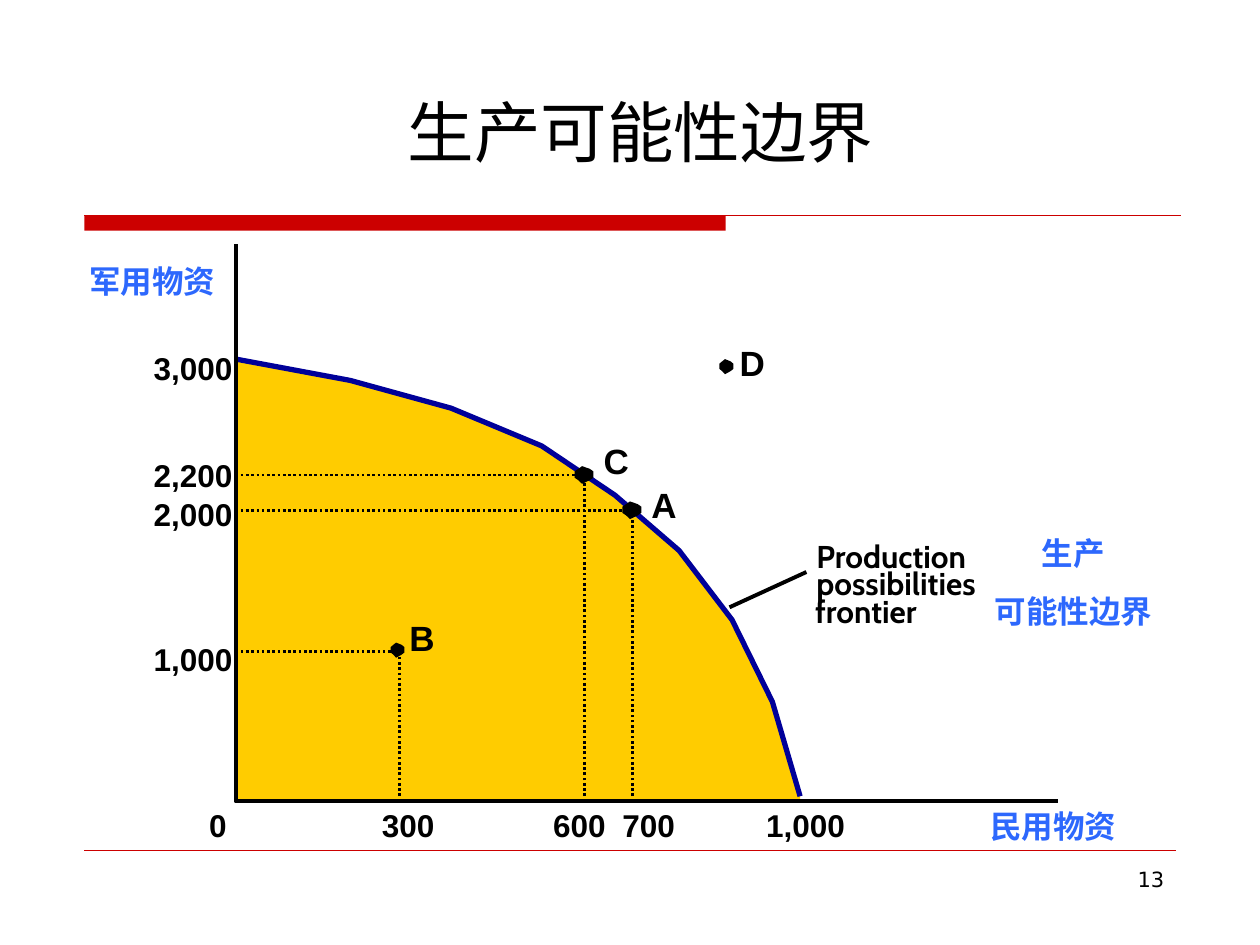
from dataclasses import dataclass

from lxml.etree import SubElement
from pptx import Presentation
from pptx.dml.color import RGBColor
from pptx.enum.dml import MSO_LINE
from pptx.enum.shapes import MSO_CONNECTOR, MSO_SHAPE
from pptx.enum.text import MSO_ANCHOR, MSO_AUTO_SIZE, PP_ALIGN
from pptx.oxml.ns import qn
from pptx.util import Inches, Pt

RED = RGBColor(0xCC, 0x00, 0x00)
GOLD = RGBColor(0xFF, 0xCC, 0x00)
NAVY = RGBColor(0x00, 0x00, 0x99)
BLUE = RGBColor(0x2D, 0x68, 0xFD)
BLACK = RGBColor(0, 0, 0)

Spot = tuple[float, float]

# Chart frame: origin of the axes and their far ends
LEFT, BASE = 1.87, 6.36
TOP, RIGHT = 1.94, 8.4

CURVE: list[Spot] = [
    (LEFT, 2.85), (2.78, 3.02), (3.58, 3.24), (4.3, 3.54), (4.88, 3.93),
    (5.39, 4.37), (5.81, 4.92), (6.13, 5.57), (6.35, 6.32),
]
# Outline of a dot, as shares of its width and height
DOT: list[Spot] = [
    (0.4, 1), (0.8, 0.8), (1, 0.65), (1, 0.3), (0.8, 0.15),
    (0.4, 0), (0.2, 0.15), (0, 0.3), (0, 0.65), (0.2, 0.8),
]


@dataclass
class Label:
    text: str
    x: float
    y: float
    w: float
    h: float = 0.3
    size: int = 18
    font: str = "Arial"
    color: RGBColor = BLACK
    bold: bool = True
    align: PP_ALIGN = PP_ALIGN.LEFT
    pad: bool = False


@dataclass
class Point:
    name: str
    x: float
    y: float
    w: float
    h: float
    tag: Spot
    guide: Spot | None = None


POINTS = [
    Point("A", 4.94, 3.98, 0.15, 0.14, (5.17, 3.84), (5.02, 4.05)),
    Point("B", 3.1, 5.1, 0.11, 0.12, (3.25, 4.89), (3.17, 5.17)),
    Point("C", 4.56, 3.7, 0.15, 0.14, (4.79, 3.49), (4.64, 3.77)),
    Point("D", 5.71, 2.85, 0.11, 0.12, (5.87, 2.71)),
]
Y_TICKS = [("3,000", 2.77), ("2,200", 3.62), ("2,000", 3.93), ("1,000", 5.08)]
X_TICKS = [("0", 1.66, 0.14), ("300", 3.03, 0.42), ("600", 4.39, 0.42),
           ("700", 4.94, 0.42), ("1,000", 6.08, 0.63)]
NAMES = [("Production", 6.48, 1.38), ("possibilities", 6.48, 1.48),
         ("frontier", 6.47, 0.98)]
CHINESE = [("军用物资", 0.61, 2.03, 1.2, 0.4),
           ("民用物资", 7.63, 6.36, 1.46, 0.4),
           ("生产\n可能性边界", 7.79, 4.19, 1.46, 0.86)]


def add_line(slide, start: Spot, end: Spot, color: RGBColor, width: float,
             dash: MSO_LINE | None = None) -> None:
    line = slide.shapes.add_connector(
        MSO_CONNECTOR.STRAIGHT, *map(Inches, start + end))
    line.line.color.rgb = color
    line.line.width = Pt(width)
    if dash:
        line.line.dash_style = dash
    SubElement(line._element.spPr, qn("a:effectLst"))


def add_path(slide, spots: list[Spot], fill: RGBColor | None = None,
             color: RGBColor | None = None, width: float = 0) -> None:
    first, *rest = [(Inches(x), Inches(y)) for x, y in spots]
    maker = slide.shapes.build_freeform(*first, scale=1.0)
    maker.add_line_segments(rest, close=fill is not None)
    shape = maker.convert_to_shape()
    shape.shadow.inherit = False
    if fill is None:
        shape.fill.background()
    else:
        shape.fill.solid()
        shape.fill.fore_color.rgb = fill
    if color is None:
        shape.line.fill.background()
    else:
        shape.line.color.rgb = color
        shape.line.width = Pt(width)


def add_label(slide, label: Label) -> None:
    box = slide.shapes.add_textbox(
        *map(Inches, (label.x, label.y, label.w, label.h)))
    frame = box.text_frame
    frame.word_wrap = False
    frame.auto_size = MSO_AUTO_SIZE.SHAPE_TO_FIT_TEXT
    if not label.pad:
        frame.margin_left = frame.margin_right = 0
        frame.margin_top = frame.margin_bottom = 0
    frame.text = label.text
    for i, para in enumerate(frame.paragraphs):
        para.alignment = label.align
        if i:
            para.space_before = Pt(11.2)
        for run in para.runs:
            run.font.size = Pt(label.size)
            run.font.name = label.font
            run.font.bold = label.bold
            run.font.color.rgb = label.color


def add_point(slide, point: Point) -> None:
    if point.guide:
        x, y = point.guide
        for end in ((LEFT, y), (x, BASE)):
            add_line(slide, end, point.guide, BLACK, 1.5, MSO_LINE.ROUND_DOT)
    add_path(slide, [(point.x + u * point.w, point.y + v * point.h)
                     for u, v in DOT], fill=BLACK)
    add_label(slide, Label(point.name, *point.tag, 0.2, 0.33, 20))


def add_frame(slide) -> None:
    # Title
    title = slide.shapes.title
    title.left, title.top = Inches(0.42), Inches(0.33)
    title.width, title.height = Inches(9.33), Inches(1.42)
    frame = title.text_frame
    frame.text = "生产可能性边界"
    frame.vertical_anchor = MSO_ANCHOR.MIDDLE
    para = frame.paragraphs[0]
    para.alignment = PP_ALIGN.CENTER
    font = para.runs[0].font
    font.size, font.name = Pt(38), "Times New Roman"
    font.color.rgb = BLACK

    # Header bar, rules and page number
    bar = slide.shapes.add_shape(
        MSO_SHAPE.RECTANGLE, *map(Inches, (0.67, 1.71, 5.09, 0.12)))
    bar.shadow.inherit = False
    bar.fill.solid()
    bar.fill.fore_color.rgb = RED
    bar.line.fill.background()
    add_line(slide, (0.67, 1.71), (9.37, 1.71), RED, 0.75)
    add_line(slide, (0.67, 6.75), (9.33, 6.75), RED, 0.25)
    add_label(slide, Label("13", 8.93, 6.83, 0.41, 0.3, 12, "DejaVu Sans",
                           bold=False, align=PP_ALIGN.RIGHT, pad=True))


def main() -> None:
    deck = Presentation()
    deck.slide_width, deck.slide_height = Inches(10), Inches(7.5)
    slide = deck.slides.add_slide(deck.slide_layouts[5])
    add_frame(slide)

    # Area, frontier and axes
    end = CURVE[-1][0]
    add_path(slide, CURVE + [(end, BASE), (LEFT, BASE)], fill=GOLD)
    add_path(slide, CURVE, color=NAVY, width=3)
    add_path(slide, [(LEFT, TOP), (LEFT, BASE), (RIGHT, BASE)],
             color=BLACK, width=2.25)

    # Tick labels
    for text, y in Y_TICKS:
        add_label(slide, Label(text, 1.22, y, 0.63))
    for text, x, w in X_TICKS:
        add_label(slide, Label(text, x, 6.4, w))

    # Points with their guides
    for point in POINTS:
        add_point(slide, point)

    # Name of the frontier and its pointer
    for i, (text, x, w) in enumerate(NAMES):
        add_label(slide, Label(text, x, 4.26 + i * 0.22, w, font="Cabin"))
    add_line(slide, (6.4, 4.54), (5.79, 4.82), BLACK, 2.25)

    # Chinese labels
    for item in CHINESE:
        add_label(slide, Label(*item, font="Times New Roman", color=BLUE,
                               align=PP_ALIGN.CENTER, pad=True))

    deck.save("out.pptx")


if __name__ == "__main__":
    main()
